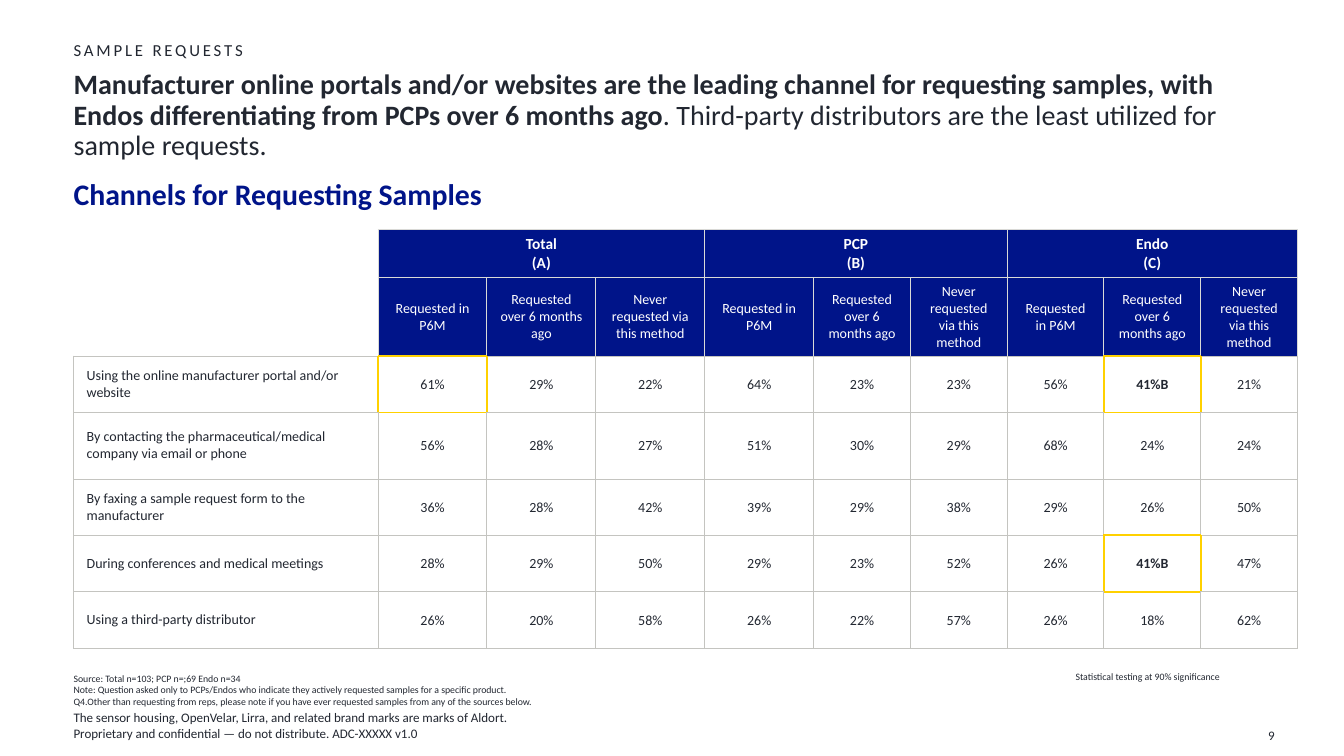
from lxml.etree import SubElement
from pptx import Presentation
from pptx.dml.color import RGBColor
from pptx.enum.text import MSO_ANCHOR, MSO_AUTO_SIZE, PP_ALIGN
from pptx.oxml.ns import qn
from pptx.util import Inches, Pt

# Content
EYEBROW = "SAMPLE REQUESTS"
HEADLINE = [
    ("Manufacturer online portals and/or websites are the leading channel for requesting "
     "samples, with Endos differentiating from PCPs over 6 months ago", True),
    (". Third-party distributors are the least utilized for sample requests.", False),
]
SUBHEADING = "Channels for Requesting Samples"
GROUPS = ["Total\n(A)", "PCP\n(B)", "Endo\n(C)"]
PERIODS = ["Requested in P6M", "Requested over 6 months ago", "Never requested via this method"]
CHANNELS = [
    ("Using the online manufacturer portal and/or website",
     ["61%", "29%", "22%", "64%", "23%", "23%", "56%", "41%B", "21%"]),
    ("By contacting the pharmaceutical/medical company via email or phone",
     ["56%", "28%", "27%", "51%", "30%", "29%", "68%", "24%", "24%"]),
    ("By faxing a sample request form to the manufacturer",
     ["36%", "28%", "42%", "39%", "29%", "38%", "29%", "26%", "50%"]),
    ("During conferences and medical meetings",
     ["28%", "29%", "50%", "29%", "23%", "52%", "26%", "41%B", "47%"]),
    ("Using a third-party distributor",
     ["26%", "20%", "58%", "26%", "22%", "57%", "26%", "18%", "62%"]),
]
HIGHLIGHTS = {(2, 1), (2, 8), (5, 8)}
SOURCES = [
    "Source: Total n=103; PCP n=;69 Endo n=34",
    "Note: Question asked only to PCPs/Endos who indicate they actively requested samples "
    "for a specific product.",
    "Q4.Other than requesting from reps, please note if you have ever requested samples "
    "from any of the sources below.",
]
LEGAL = [
    "The sensor housing, OpenVelar, Lirra, and related brand marks are marks of Aldort.",
    "Proprietary and confidential — do not distribute. ADC-XXXXX v1.0",
]
TESTING = "Statistical testing at 90% significance"
PAGE_NUMBER = "9"

# Style and grid
FONT = "Calibri"
INK = RGBColor(0x22, 0x27, 0x31)
NAVY = RGBColor(0x00, 0x14, 0x89)
WHITE = RGBColor(0xFF, 0xFF, 0xFF)
GRAY = RGBColor(0xC4, 0xC4, 0xC0)
LIGHT_GRAY = RGBColor(0xD9, 0xD9, 0xD6)
YELLOW = RGBColor(0xFF, 0xD1, 0x00)
MARGIN, TEXT_WIDTH = 0.73, 11.87
COLUMNS = [3.02] + [1.08] * 4 + [0.96] * 5
ROWS = [0.45, 0.72, 0.56, 0.66, 0.56, 0.56, 0.56]
HEADER_ROWS = 2
TABLE_TOP = 2.28
TEXT_INSETS = (0.13, 0.05, 0.13, 0.05)
VALUE_INSETS = (0.01, 0.01, 0.01, 0)
PLACEHOLDER_INSETS = (0, 0, 0.1, 0.05)
NO_INSETS = (0, 0, 0, 0)


def set_insets(holder, insets):
    holder.margin_left, holder.margin_top, holder.margin_right, holder.margin_bottom = map(Inches, insets)


def style(frame, size, color=INK, bold=False, align=PP_ALIGN.LEFT):
    for paragraph in frame.paragraphs:
        paragraph.alignment = align
        paragraph.space_before = Pt(0)
        font = paragraph.font
        font.name, font.size, font.bold = FONT, Pt(size), bold
        font.color.rgb = color


def place(shape, box, insets, anchor=MSO_ANCHOR.TOP):
    shape.left, shape.top, shape.width, shape.height = map(Inches, box)
    frame = shape.text_frame
    frame.word_wrap, frame.auto_size = True, MSO_AUTO_SIZE.NONE
    frame.vertical_anchor = anchor
    set_insets(frame, insets)
    return frame


def add_note(lines, box, size, insets=NO_INSETS, anchor=MSO_ANCHOR.BOTTOM, align=PP_ALIGN.LEFT):
    frame = place(slide.shapes.add_textbox(0, 0, 0, 0), box, insets, anchor)
    frame.text = "\n".join(lines)
    style(frame, size, align=align)
    return frame


def edge_line(here, neighbour):
    """Colour and width of the edge shared by two cells, strongest cell first."""
    pair = (here, neighbour)
    if any(cell in HIGHLIGHTS for cell in pair):
        return YELLOW, 1.5
    inside = [(r, c) for r, c in pair if 0 <= r < len(ROWS) and 0 <= c < len(COLUMNS)]
    if any(r >= HEADER_ROWS for r, c in inside):
        return GRAY, 0.75
    if any(c > 0 for r, c in inside):
        return LIGHT_GRAY, 0.75
    return None


def draw_borders(cell, row, col):
    properties = cell._tc.get_or_add_tcPr()
    sides = [("L", 0, -1), ("R", 0, 1), ("T", -1, 0), ("B", 1, 0)]
    for order, (side, down, across) in enumerate(sides):
        line = SubElement(properties, qn("a:ln" + side))
        properties.insert(order, line)
        look = edge_line((row, col), (row + down, col + across))
        if look is None:
            SubElement(line, qn("a:noFill"))
            continue
        color, width = look
        line.set("w", str(Pt(width)))
        SubElement(SubElement(line, qn("a:solidFill")), qn("a:srgbClr")).set("val", str(color))


presentation = Presentation()
presentation.slide_width, presentation.slide_height = Inches(13.33), Inches(7.5)
slide = presentation.slides.add_slide(presentation.slide_layouts.get_by_name("Comparison"))
title, eyebrow, left_content, subheading, right_content = slide.placeholders
for unused in (left_content, right_content):
    unused._element.getparent().remove(unused._element)

# Headings
headline_frame = place(title, (MARGIN, 0.7, TEXT_WIDTH, 0.57), PLACEHOLDER_INSETS)
headline = headline_frame.paragraphs[0]
for words, bold in HEADLINE:
    run = headline.add_run()
    run.text, run.font.bold = words, bold
style(headline_frame, 20)
headline.line_spacing = 0.9

eyebrow_frame = place(eyebrow, (MARGIN, 0.39, 7.64, 0.38), PLACEHOLDER_INSETS)
eyebrow_frame.text = EYEBROW
style(eyebrow_frame, 12)
eyebrow_frame.paragraphs[0].runs[0].font._element.set("spc", "200")

subheading_frame = place(subheading, (MARGIN, 1.74, TEXT_WIDTH, 0.4), PLACEHOLDER_INSETS)
subheading_frame.text = SUBHEADING
style(subheading_frame, 21.3, NAVY, bold=True)

# Channel table
group_row = [""] + [text for group in GROUPS for text in (group, "", "")]
period_row = [""] + PERIODS * len(GROUPS)
cell_texts = [group_row, period_row] + [[channel] + values for channel, values in CHANNELS]
table = slide.shapes.add_table(
    len(ROWS), len(COLUMNS), Inches(MARGIN), Inches(TABLE_TOP),
    Inches(sum(COLUMNS)), Inches(sum(ROWS))).table
table.first_row = table.horz_banding = False
for column, width in zip(table.columns, COLUMNS):
    column.width = Inches(width)
for table_row, height in zip(table.rows, ROWS):
    table_row.height = Inches(height)
for first in range(1, len(COLUMNS), len(PERIODS)):
    table.cell(0, first).merge(table.cell(0, first + len(PERIODS) - 1))

for r, texts in enumerate(cell_texts):
    for c, text in enumerate(texts):
        cell = table.cell(r, c)
        is_header = r < HEADER_ROWS and c > 0
        is_value = r >= HEADER_ROWS and c > 0
        cell.text = text
        cell.vertical_anchor = MSO_ANCHOR.MIDDLE
        set_insets(cell, VALUE_INSETS if is_value else TEXT_INSETS)
        style(cell.text_frame, 11 if r == 0 else 10, WHITE if is_header else INK,
              bold=r == 0 or text.endswith("%B"),
              align=PP_ALIGN.CENTER if c else PP_ALIGN.LEFT)
        if is_header:
            cell.fill.solid()
            cell.fill.fore_color.rgb = NAVY
        else:
            cell.fill.background()
        draw_borders(cell, r, c)

# Footnotes and page number
add_note(SOURCES, (MARGIN, 6.76, 7.32, 0.26), 7)
add_note(LEGAL, (MARGIN, 6.94, 5.56, 0.41), 9.3)
testing_frame = add_note([TESTING], (10.57, 6.6, 1.64, 0.22), 7, (0.1, 0.05, 0.1, 0.05), MSO_ANCHOR.TOP)
testing_frame.word_wrap = False
add_note([PAGE_NUMBER], (12.13, 7.02, 0.61, 0.4), 9.3, (0, 0.05, 0.1, 0.05), align=PP_ALIGN.RIGHT)

presentation.save("out.pptx")
